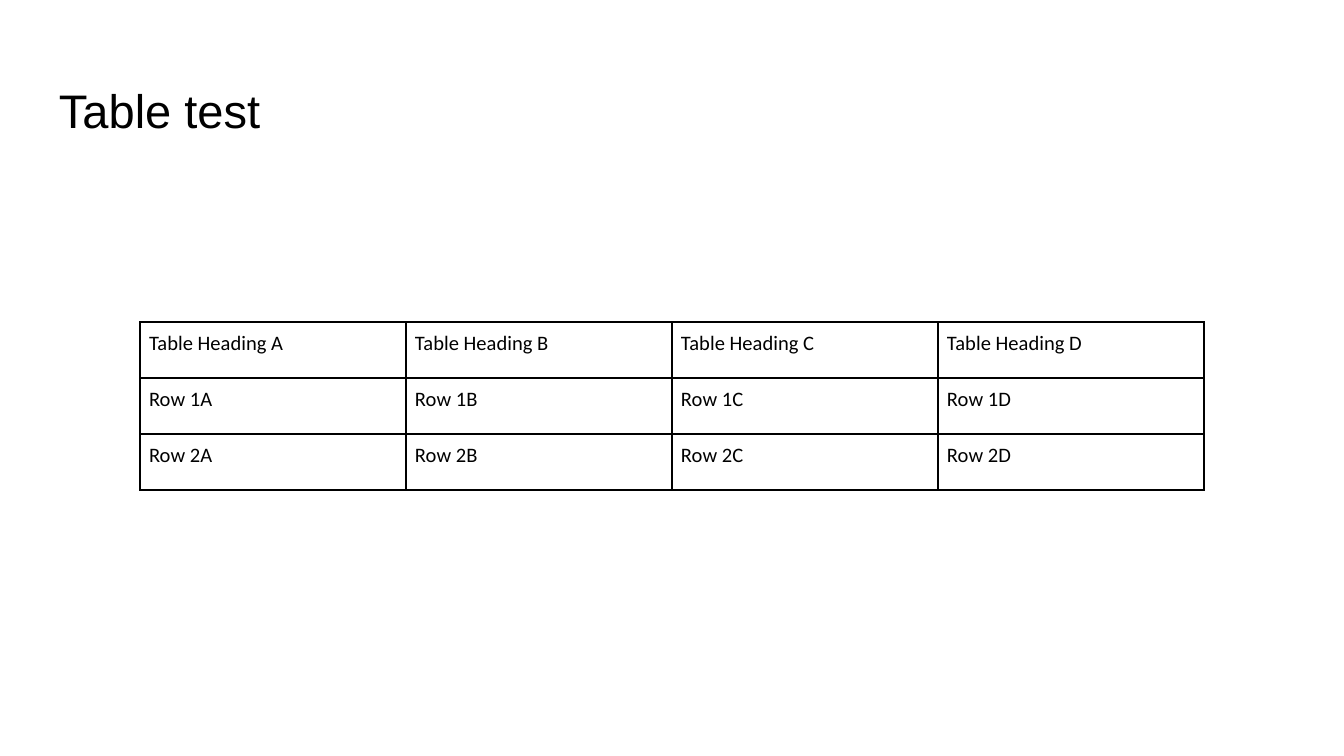
from lxml.etree import SubElement
from pptx import Presentation
from pptx.dml.color import RGBColor
from pptx.enum.text import MSO_ANCHOR as Anchor, PP_ALIGN as Align
from pptx.oxml.ns import qn
from pptx.util import Emu, Pt

SCALE = 914400 / 134.4
COLORS = {"ink": "000000", "border": "000000"}


def px(n):
    return Emu(round(n * SCALE))


class Deck:
    def __init__(self, width, height):
        self.prs = Presentation()
        self.prs.slide_width, self.prs.slide_height = px(width), px(height)
        self.slide = self.prs.slides.add_slide(self.prs.slide_layouts[5])

    def add_text(self, tf, text, font, size):
        p = tf.paragraphs[0]
        p.alignment = Align.LEFT
        r = p.add_run()
        r.text = text
        r.font.name, r.font.size = font, Pt(size)
        r.font.color.rgb = RGBColor.from_string(COLORS["ink"])

    def inset(self, box, margin):
        box.margin_left = box.margin_right = px(margin)
        box.margin_top = box.margin_bottom = px(margin)

    def title(self, text, x, y, w, h):
        sp = self.slide.shapes.title
        sp.left, sp.top, sp.width, sp.height = map(px, (x, y, w, h))
        tf = sp.text_frame
        tf.word_wrap = True
        tf.vertical_anchor = Anchor.BOTTOM
        self.inset(tf, 13)
        self.add_text(tf, text, "Arial", 25.2)

    def border(self, cell):
        tc_pr = cell._tc.get_or_add_tcPr()
        for i, side in enumerate(("lnL", "lnR", "lnT", "lnB")):
            ln = SubElement(tc_pr, qn("a:" + side), w=str(int(Pt(1))))
            fill = SubElement(ln, qn("a:solidFill"))
            SubElement(fill, qn("a:srgbClr"), val=COLORS["border"])
            tc_pr.remove(ln)
            tc_pr.insert(i, ln)

    def table(self, rows, x, y, col_w, row_h):
        n_rows, n_cols = len(rows), len(rows[0])
        table = self.slide.shapes.add_table(
            n_rows, n_cols, px(x), px(y), px(col_w * n_cols), px(row_h * n_rows)).table
        table.first_row = table.horz_banding = False
        for col in table.columns:
            col.width = px(col_w)
        for row, texts in zip(table.rows, rows):
            row.height = px(row_h)
            for cell, text in zip(row.cells, texts):
                cell.fill.background()
                cell.vertical_anchor = Anchor.TOP
                self.inset(cell, 9)
                self.border(cell)
                self.add_text(cell.text_frame, text, "Calibri", 11)


deck = Deck(1344, 756)
deck.title("Table test", 46, 66, 1252, 85)
labels = ("Table Heading ", "Row 1", "Row 2")
deck.table([[label + letter for letter in "ABCD"] for label in labels], 140, 322, 266, 56)
deck.prs.save("out.pptx")
